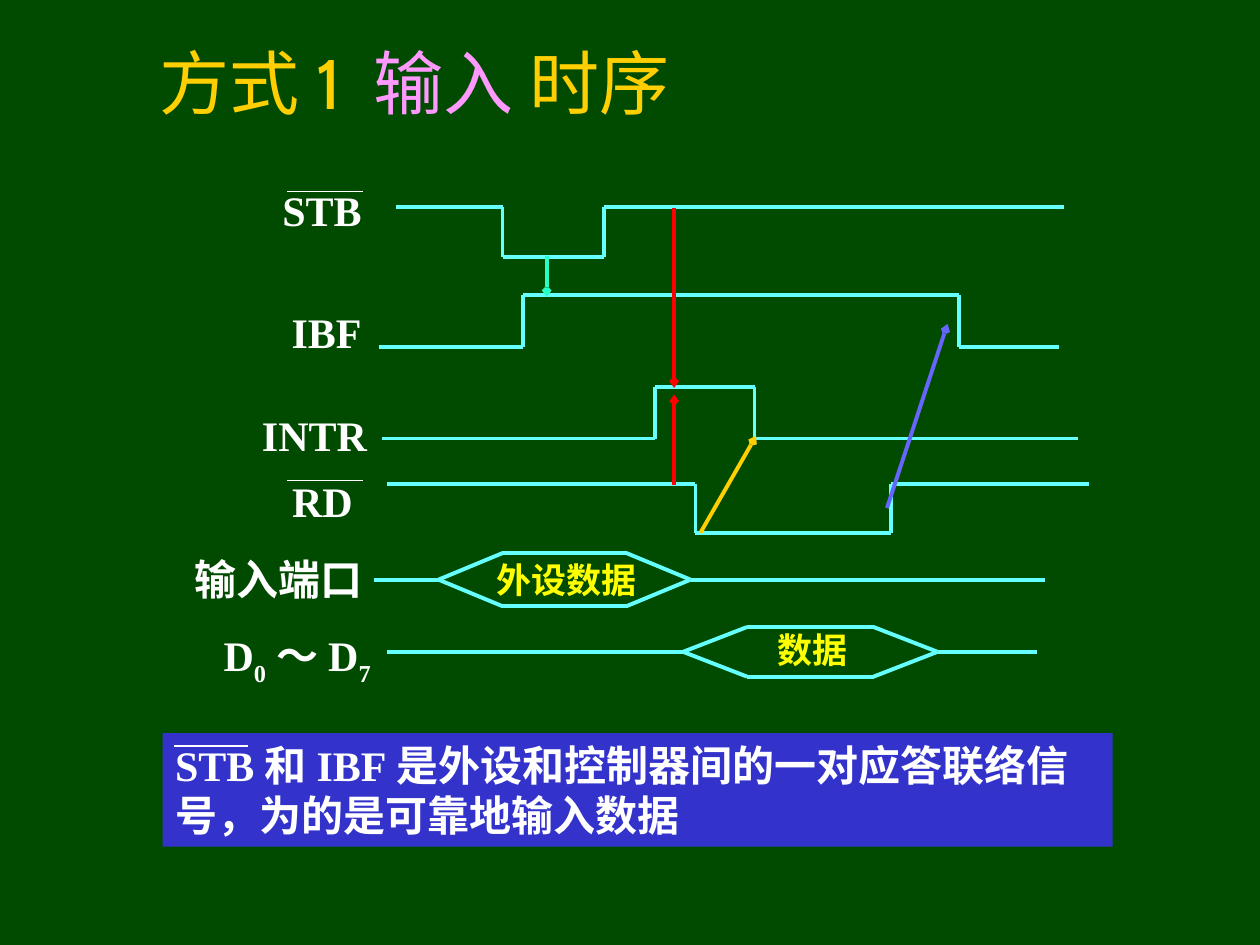
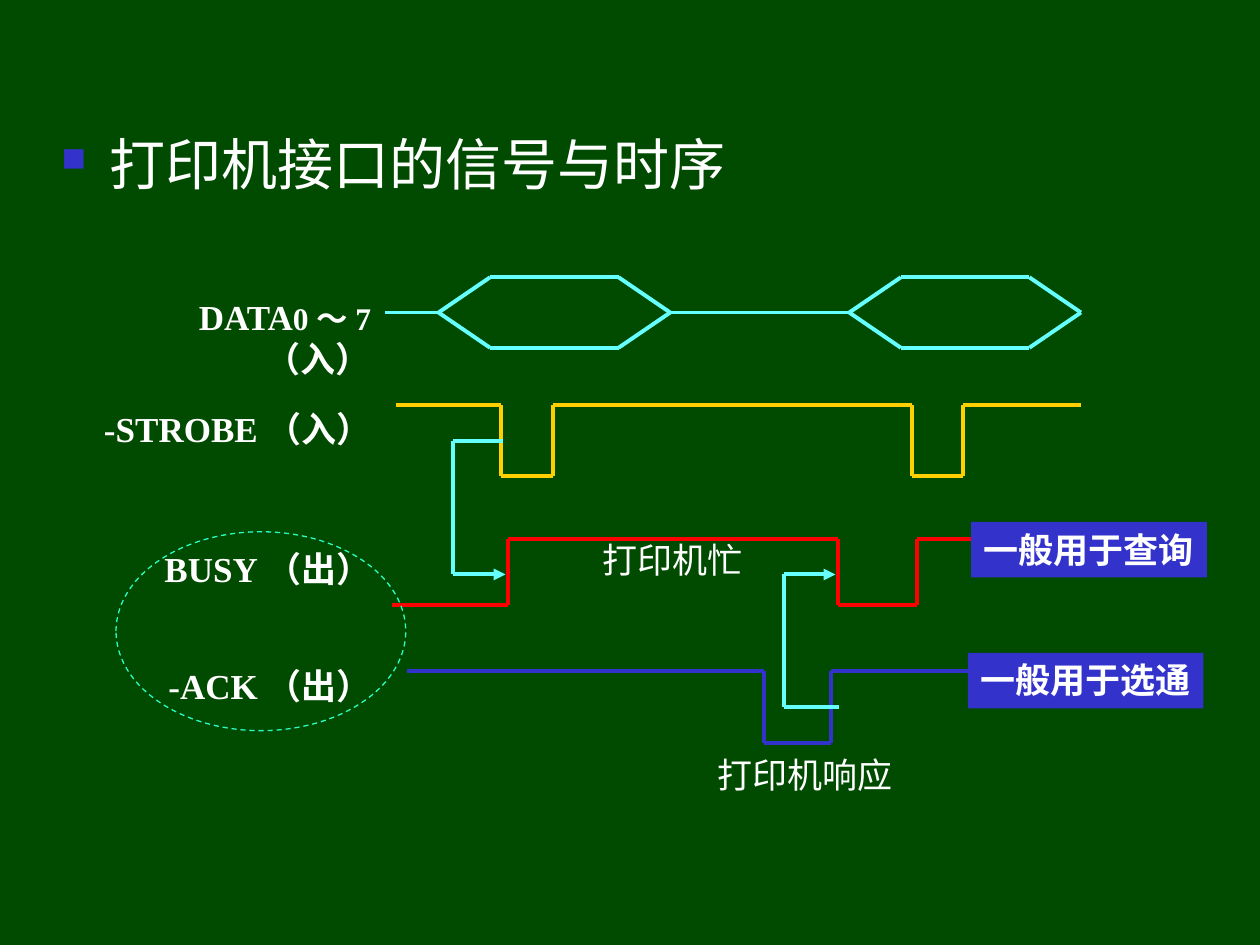
from itertools import pairwise

from lxml import etree
from pptx import Presentation
from pptx.dml.color import RGBColor
from pptx.enum.dml import MSO_LINE_DASH_STYLE as Dash
from pptx.enum.lang import MSO_LANGUAGE_ID as Language
from pptx.enum.shapes import MSO_CONNECTOR as Connector, MSO_SHAPE as Shape
from pptx.enum.text import MSO_ANCHOR as Anchor, PP_ALIGN as Align
from pptx.oxml.ns import qn
from pptx.util import Cm, Pt

GREEN = RGBColor(0x00, 0x4B, 0x00)
CYAN = RGBColor(0x66, 0xFF, 0xFF)
GOLD = RGBColor(0xFF, 0xCF, 0x01)
PINK = RGBColor(0xFF, 0x99, 0xFF)
YELLOW = RGBColor(0xFF, 0xFF, 0x00)
WHITE = RGBColor(0xFF, 0xFF, 0xFF)
RED = RGBColor(0xFF, 0x00, 0x00)
TEAL = RGBColor(0x27, 0xFF, 0xC6)
BLUE = RGBColor(0x33, 0x33, 0xCC)
VIOLET = RGBColor(0x66, 0x66, 0xFF)
SERIF, SANS = "Times New Roman", "Cabin"
TIGHT = 0.03  # inset of the signal labels, in cm


def draw_path(page, points, color, width=2.25, head=None, head_size="med"):
    """Join the points with straight connectors; the last one may carry an arrowhead."""
    for (x1, y1), (x2, y2) in pairwise(points):
        line = page.shapes.add_connector(Connector.STRAIGHT, Cm(x1), Cm(y1), Cm(x2), Cm(y2))
        line.line.color.rgb = color
        line.line.width = Pt(width)
        etree.SubElement(line._element.spPr, qn("a:effectLst"))
    if head:
        etree.SubElement(line.line._get_or_add_ln(), qn("a:tailEnd"),
                         type=head, w=head_size, len=head_size)


def add_text(page, place, spans, size, color=WHITE, font=SERIF, bold=True,
             align=Align.LEFT, inset=None, wrap=True, fill=None):
    """Place one paragraph made of the given spans and return it."""
    area = [Cm(length) for length in place]
    if fill is None:
        box = page.shapes.add_textbox(*area)
    else:
        box = page.shapes.add_shape(Shape.RECTANGLE, *area)
        box.shadow.inherit = False
        box.fill.solid()
        box.fill.fore_color.rgb = fill
        box.line.fill.background()
    frame = box.text_frame
    frame.word_wrap = wrap
    frame.vertical_anchor = Anchor.TOP
    if inset is not None:
        frame.margin_left = frame.margin_right = Cm(inset)
        frame.margin_top = frame.margin_bottom = Cm(inset)
    para = frame.paragraphs[0]
    para.alignment = align
    for text in spans:
        span = para.add_run()
        span.text = text
        span.font.name = font
        span.font.size = Pt(size)
        span.font.bold = bold
        span.font.color.rgb = color
        span.font.language_id = Language.SIMPLIFIED_CHINESE
    return para


deck = Presentation()
deck.slide_width, deck.slide_height = Cm(25.4), Cm(19.05)
input_page, printer_page = [deck.slides.add_slide(deck.slide_layouts[6]) for _ in range(2)]
for page in (input_page, printer_page):
    page.background.fill.solid()
    page.background.fill.fore_color.rgb = GREEN

# Headings
title = add_text(input_page, (2.97, 0.28, 14.66, 2.34), ["方式1 ", "输入", " 时序"], 40,
                 GOLD, SANS, bold=False)
title.runs[1].font.color.rgb = PINK
input_page.shapes[0].text_frame.vertical_anchor = Anchor.BOTTOM

heading = add_text(printer_page, (0.99, 2.49, 23.83, 1.6), ["打印机接口的信号与时序"], 32,
                   font=SANS, bold=False, align=Align.JUSTIFY)
properties = heading._p.get_or_add_pPr()
properties.set("marL", str(Cm(0.96)))
properties.set("indent", str(-Cm(0.96)))
bullet_color = etree.SubElement(properties, qn("a:buClr"))
etree.SubElement(bullet_color, qn("a:srgbClr"), val=str(BLUE))
etree.SubElement(properties, qn("a:buSzPct"), val="60000")
etree.SubElement(properties, qn("a:buChar"), char="■")

# Pulse trains: the level swaps between first and second at every inner x
pulse_trains = [
    (input_page, CYAN, 4.17, 5.18, (7.98, 10.13, 12.17, 21.44)),              # STB
    (input_page, CYAN, 6.99, 5.94, (7.65, 10.54, 19.33, 21.34)),              # IBF
    (input_page, CYAN, 8.84, 7.8, (7.7, 13.2, 15.21, 21.74)),                 # INTR
    (input_page, CYAN, 9.75, 10.74, (7.8, 14.02, 17.97, 21.95)),              # RD
    (printer_page, GOLD, 8.17, 9.6, (7.98, 10.1, 11.14, 18.38, 19.41, 21.79)),  # STROBE
    (printer_page, RED, 12.19, 10.86, (7.9, 10.24, 16.89, 18.48, 21.92)),     # BUSY
    (printer_page, BLUE, 13.52, 14.98, (8.2, 15.41, 16.75, 21.87)),           # ACK
]
for page, color, level, other, (start, *edges, end) in pulse_trains:
    points = [(start, level)]
    for edge in edges:
        points += [(edge, level), (edge, other)]
        level, other = other, level
    draw_path(page, points + [(end, level)], color)

# Data buses: a lead-in line, a hexagon of valid data, and a line after it
buses = [
    (input_page, 7.54, 8.84, 13.92, 21.06, 11.15, 12.22, 1.29),
    (input_page, 7.8, 13.77, 18.9, 20.9, 12.64, 13.64, 1.29),
    (printer_page, 7.77, 8.84, 13.51, 17.12, 5.59, 7.01, 1.04),
    (printer_page, None, 17.12, 21.79, None, 5.59, 7.01, 1.04),
]
for page, start, left, right, end, top, bottom, slant in buses:
    middle = (top + bottom) / 2
    for edge in (top, bottom):
        draw_path(page, [(left, middle), (left + slant, edge),
                         (right - slant, edge), (right, middle)], CYAN)
    if start:
        draw_path(page, [(start, middle), (left, middle)], CYAN)
        draw_path(page, [(right, middle), (end, middle)], CYAN)

# Cause and effect arrows
for color, cause, effect in [
    (TEAL, (11.02, 5.16), (11.02, 5.99)),
    (RED, (13.59, 4.19), (13.59, 7.82)),
    (RED, (13.59, 9.78), (13.59, 7.95)),
    (GOLD, (14.12, 10.74), (15.24, 8.79)),
    (VIOLET, (17.88, 10.24), (19.1, 6.53)),
]:
    draw_path(input_page, [cause, effect], color, head="arrow", head_size="sm")
for cause_x, cause_y, turn_x, effect_x in [(10.13, 8.89, 9.14, 10.19),
                                           (16.92, 14.25, 15.8, 16.84)]:
    draw_path(printer_page, [(cause_x, cause_y), (turn_x, cause_y),
                             (turn_x, 11.58), (effect_x, 11.58)], CYAN, head="triangle")

# Signal names and bus captions
for place, text, align in [
    ((3.99, 3.68, 3.33, 1.63), "STB", Align.RIGHT),
    ((3.81, 6.15, 3.51, 1.68), "IBF", Align.RIGHT),
    ((4.6, 8.23, 3.48, 1.7), "INTR", Align.CENTER),
    ((3.81, 9.55, 3.33, 1.63), "RD", Align.RIGHT),
    ((1.52, 11.13, 5.82, 1.7), "输入端口", Align.RIGHT),
]:
    add_text(input_page, place, [text], 24, align=align, inset=TIGHT)
data_lines = add_text(input_page, (3.96, 12.67, 4.06, 1.68), ["D", "0", "～D", "7"], 24,
                      align=Align.CENTER, inset=TIGHT)
for subscript in data_lines.runs[1::2]:
    subscript._r.get_or_add_rPr().set("baseline", "-25000")
for place, text in [((9.4, 11.23, 4.06, 1.24), "外设数据"),
                    ((14.35, 12.65, 4.06, 1.24), "数据")]:
    add_text(input_page, place, [text], 20, YELLOW, align=Align.CENTER, inset=TIGHT)

for place, spans in [
    ((1.57, 5.92, 5.94, 1.45), ["DATA", "0～7 ", "（入）"]),
    ((1.7, 8.18, 5.82, 0.94), ["-STROBE（入）"]),
    ((2.9, 11.0, 4.62, 1.04), ["BUSY（出）"]),
    ((3.33, 13.36, 4.19, 1.04), ["-ACK（出）"]),
]:
    label = add_text(printer_page, place, spans, 20, align=Align.RIGHT, inset=TIGHT)
    for bit_range in label.runs[1:2]:
        bit_range.font.size = Pt(18)

# Remarks
add_text(input_page, (3.28, 14.78, 19.15, 2.29),
         ["STB和IBF是外设和控制器间的一对应答联络信号，为的是可靠地输入数据"], 24, fill=BLUE)
for left, right, y in [(5.79, 7.32, 3.86), (5.79, 7.32, 9.68), (3.51, 5.0, 15.04)]:
    draw_path(input_page, [(left, y), (right, y)], WHITE, width=0.75)

for place, text in [((11.89, 10.74, 3.33, 1.12), "打印机忙"),
                    ((14.22, 15.06, 4.04, 1.12), "打印机响应")]:
    add_text(printer_page, place, [text], 20, font=SANS, bold=False, wrap=False)
for place, text in [((19.58, 10.52, 4.75, 1.12), "一般用于查询"),
                    ((19.51, 13.16, 4.75, 1.12), "一般用于选通")]:
    add_text(printer_page, place, [text], 20, wrap=False, fill=BLUE)

outputs_ring = printer_page.shapes.add_shape(Shape.OVAL, Cm(2.34), Cm(10.72), Cm(5.84), Cm(4.01))
outputs_ring.shadow.inherit = False
outputs_ring.fill.background()
outputs_ring.line.color.rgb = TEAL
outputs_ring.line.width = Pt(0.75)
outputs_ring.line.dash_style = Dash.DASH

deck.save("out.pptx")
